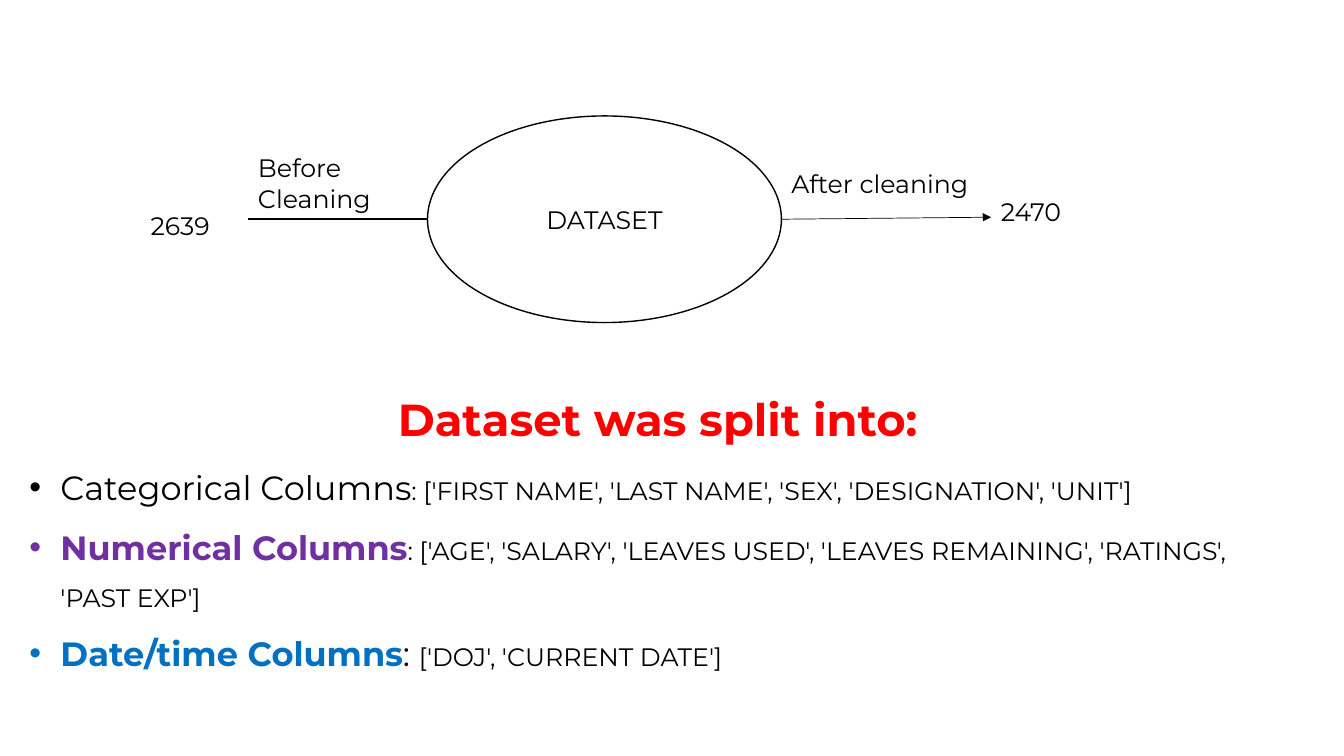
from lxml import etree
from pptx import Presentation
from pptx.dml.color import RGBColor
from pptx.enum.shapes import MSO_CONNECTOR, MSO_SHAPE
from pptx.enum.text import MSO_ANCHOR, MSO_AUTO_SIZE, PP_ALIGN
from pptx.oxml.ns import qn
from pptx.util import Inches, Pt

STRAIGHT, ELLIPSE = MSO_CONNECTOR.STRAIGHT, MSO_SHAPE.OVAL
TOP, MIDDLE = MSO_ANCHOR.TOP, MSO_ANCHOR.MIDDLE
LEFT, CENTER = PP_ALIGN.LEFT, PP_ALIGN.CENTER
NO_FIT = MSO_AUTO_SIZE.NONE

FONT = "Montserrat"
COLORS = {"ink": "000000", "paper": "FFFFFF", "heading": "FF0000",
          "numerical": "7030A0", "datetime": "0070C0"}

COLUMN_GROUPS = [
    [("Categorical Columns", 24, "ink", False),
     (": ['FIRST NAME', 'LAST NAME', 'SEX', 'DESIGNATION', 'UNIT']", 18, "ink", False)],
    [("Numerical Columns", 24, "numerical", True),
     (": ['AGE', 'SALARY', 'LEAVES USED', 'LEAVES REMAINING', 'RATINGS', 'PAST EXP']",
      18, "ink", False)],
    [("Date/time Columns", 24, "datetime", True),
     (": ", 24, "ink", False),
     ("['DOJ', 'CURRENT DATE']", 18, "ink", False)],
]


def color(name):
    """Return the named colour."""
    return RGBColor.from_string(COLORS[name])


def set_all(target, values):
    """Set every attribute in a dict of format values."""
    for name, value in values.items():
        setattr(target, name, value)


def add_span(para, text, size=18, ink="ink", bold=False):
    """Add one formatted run to a paragraph."""
    span = para.add_run()
    span.text = text
    set_all(span.font, {"name": FONT, "size": Pt(size), "bold": bold})
    span.font.color.rgb = color(ink)


def add_label(page, text, box, wrap=True):
    """Add a plain text label in the given box."""
    label = page.shapes.add_textbox(*map(Inches, box))
    label.text_frame.word_wrap = wrap
    add_span(label.text_frame.paragraphs[0], text)


def add_line(page, start, end, width, arrow=False):
    """Draw a straight line, with an arrowhead at its end if asked."""
    line = page.shapes.add_connector(STRAIGHT, *map(Inches, start + end))
    line.line.color.rgb = color("ink")
    line.line.width = Pt(width)
    if arrow:
        etree.SubElement(line.line._get_or_add_ln(), qn("a:tailEnd"), type="triangle")
    etree.SubElement(line._element.spPr, qn("a:effectLst"))


def add_cleaning_flow(page, box):
    """Draw the dataset ellipse with its row counts before and after cleaning."""
    left, top, width, height = box
    right, middle = left + width, top + height / 2
    reach = 1.78
    add_line(page, (left - reach, middle), (left, middle), 1.5)
    add_line(page, (right, middle), (right + 2.08, middle - 0.02), 0.5, arrow=True)

    dataset = page.shapes.add_shape(ELLIPSE, *map(Inches, box))
    dataset.shadow.inherit = False
    dataset.fill.solid()
    dataset.fill.fore_color.rgb = color("paper")
    dataset.line.color.rgb = color("ink")
    dataset.line.width = Pt(1)
    dataset.text_frame.vertical_anchor = MIDDLE
    para = dataset.text_frame.paragraphs[0]
    para.alignment = CENTER
    add_span(para, "DATASET")

    add_label(page, " 2639", (left - 2.91, middle - 0.14, 1.01, 0.4))
    add_label(page, "Before Cleaning", (left - reach, middle - 0.71, reach, 0.71))
    add_label(page, "After cleaning", (right, middle - 0.55, 2.23, 0.4), wrap=False)
    add_label(page, "2470", (right + 2.08, middle - 0.28, 1.26, 0.4))


def place(holder, box, margin_top):
    """Move a placeholder into a box and return its cleared text frame."""
    for name, length in zip(("left", "top", "width", "height"), box):
        setattr(holder, name, Inches(length))
    set_all(holder.text_frame, {
        "auto_size": NO_FIT, "word_wrap": True, "vertical_anchor": TOP,
        "margin_left": Inches(0.1), "margin_right": Inches(0.1),
        "margin_top": Inches(margin_top), "margin_bottom": 0})
    return holder.text_frame


def add_bullet(para):
    """Give a paragraph a round bullet and a hanging indent."""
    properties = para._p.get_or_add_pPr()
    indent = Inches(0.31)
    properties.set("marL", str(indent))
    properties.set("indent", str(-indent))
    etree.SubElement(properties, qn("a:buFont"), typeface="Arial")
    etree.SubElement(properties, qn("a:buChar"), char="•")


def add_column_split(page, box):
    """Fill the title and the list of column groups within the box."""
    left, top, width, height = box
    heading_height = 0.86
    spacing = {"line_spacing": 1.5, "space_before": Pt(0), "space_after": Pt(0)}

    heading = place(page.shapes.title, (left, top, width, heading_height), 0.05)
    para = heading.paragraphs[0]
    set_all(para, {**spacing, "alignment": CENTER})
    add_span(para, "Dataset was split into:", 32, "heading", True)

    body = place(page.placeholders[1],
                 (left, top + heading_height, width, height - heading_height), 0)
    for index, spans in enumerate(COLUMN_GROUPS):
        para = body.add_paragraph() if index else body.paragraphs[0]
        set_all(para, {**spacing, "alignment": LEFT})
        add_bullet(para)
        for span in spans:
            add_span(para, *span)


def main():
    """Build the slide and save it."""
    deck = Presentation()
    deck.slide_width, deck.slide_height = Inches(13.33), Inches(7.5)
    page = deck.slides.add_slide(deck.slide_layouts[1])
    add_cleaning_flow(page, (4.24, 1.15, 3.51, 2.05))
    add_column_split(page, (0.19, 3.57, 12.67, 3.18))
    deck.save("out.pptx")


if __name__ == "__main__":
    main()
